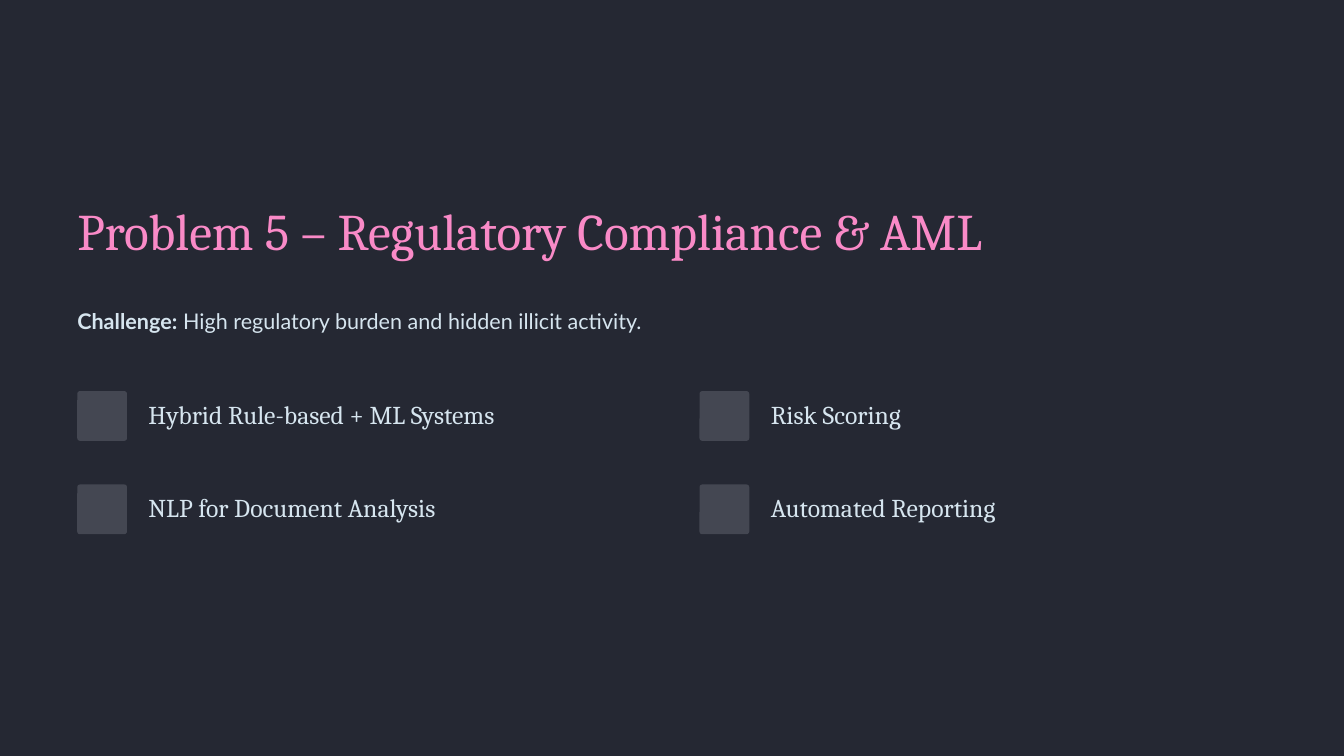
from pptx import Presentation
from pptx.dml.color import RGBColor
from pptx.enum import shapes, text
from pptx.util import Inches, Pt

TITLE = "Problem 5 – Regulatory Compliance & AML"
CHALLENGE = [("Challenge:", True), (" High regulatory burden and hidden illicit activity.", False)]
SOLUTIONS = [  # rows of the grid
    ["Hybrid Rule-based + ML Systems", "Risk Scoring"],
    ["NLP for Document Analysis", "Automated Reporting"],
]
COLORS = {"background": "252833", "title": "F98AC7", "body": "D6E5EF", "marker": "444752"}
HEADING_FONT, BODY_FONT = "Cambria", "Lato"

LEFT, GRID_TOP = 1.15, 5.82
COLUMN_STEP, ROW_STEP = 9.26, 1.39
MARKER_SIZE, MARKER_RADIUS = 0.74, 0.04
LABEL_OFFSET_X, LABEL_OFFSET_Y = 1.06, 0.09


def color(name):
    return RGBColor.from_string(COLORS[name])


def add_text(slide, box, runs, font, size, line_height, color_name):
    """Add one paragraph made of (wording, bold) runs; sizes are in points."""
    frame = slide.shapes.add_textbox(*map(Inches, box)).text_frame
    frame.word_wrap = True
    frame.auto_size = text.MSO_AUTO_SIZE.NONE
    frame.margin_left = frame.margin_right = frame.margin_top = frame.margin_bottom = 0
    paragraph = frame.paragraphs[0]
    paragraph.line_spacing = Pt(line_height)
    for wording, bold in runs:
        run = paragraph.add_run()
        run.text = wording
        run.font.name = font
        run.font.size = Pt(size)
        run.font.bold = bold
        run.font.color.rgb = color(color_name)


def add_marker(slide, left, top):
    marker = slide.shapes.add_shape(
        shapes.MSO_SHAPE.ROUNDED_RECTANGLE,
        Inches(left), Inches(top), Inches(MARKER_SIZE), Inches(MARKER_SIZE))
    marker.adjustments[0] = MARKER_RADIUS / MARKER_SIZE
    marker.shadow.inherit = False
    marker.fill.solid()
    marker.fill.fore_color.rgb = color("marker")
    marker.line.fill.background()


def main():
    presentation = Presentation()
    presentation.slide_width, presentation.slide_height = Inches(20), Inches(11.25)
    slide = presentation.slides.add_slide(presentation.slide_layouts[6])
    slide.background.fill.solid()
    slide.background.fill.fore_color.rgb = color("background")

    add_text(slide, (LEFT, 2.92, 15.4, 0.98), [(TITLE, False)], HEADING_FONT, 55, 68.8, "title")
    add_text(slide, (LEFT, 4.45, 17.71, 0.63), CHALLENGE, BODY_FONT, 23.1, 37.5, "body")

    for row, labels in enumerate(SOLUTIONS):
        for column, label in enumerate(labels):
            left = LEFT + column * COLUMN_STEP
            top = GRID_TOP + row * ROW_STEP
            add_marker(slide, left, top)
            add_text(slide, (left + LABEL_OFFSET_X, top + LABEL_OFFSET_Y, 5.9, 0.5),
                     [(label, False)], HEADING_FONT, 27.5, 34.4, "body")

    presentation.save("out.pptx")


if __name__ == "__main__":
    main()
